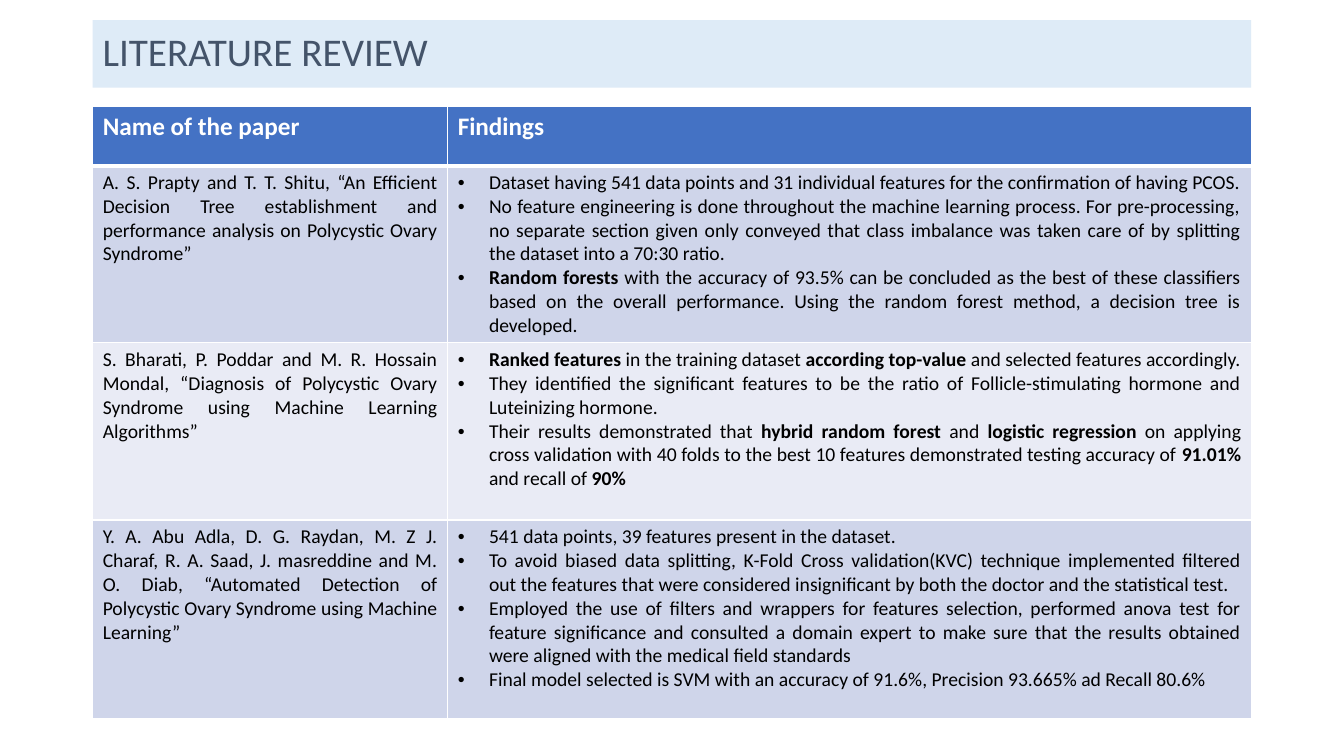
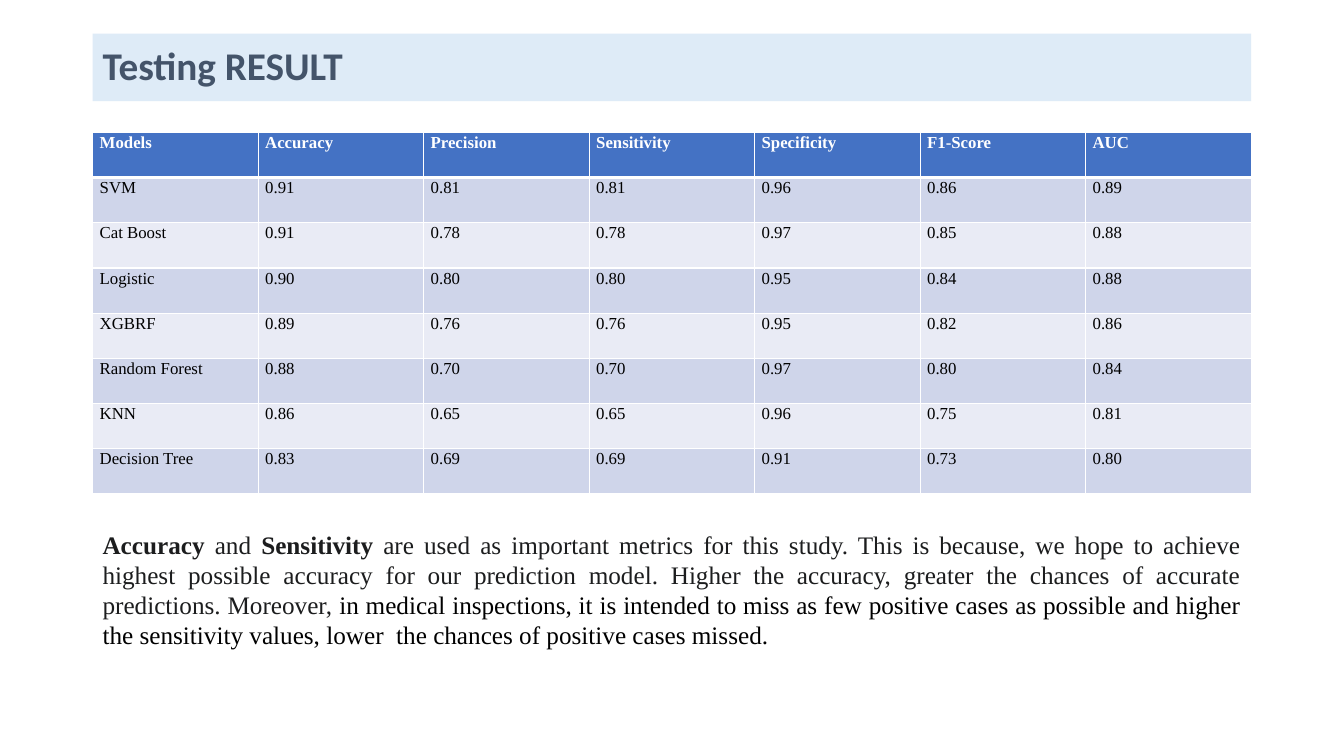
from lxml import etree
from pptx import Presentation
from pptx.dml.color import RGBColor
from pptx.enum.shapes import MSO_SHAPE
from pptx.enum.text import MSO_ANCHOR, PP_ALIGN
from pptx.oxml.ns import qn
from pptx.util import Inches, Pt

RECTANGLE = MSO_SHAPE.RECTANGLE
MIDDLE = MSO_ANCHOR.MIDDLE
LEFT, JUSTIFY = PP_ALIGN.LEFT, PP_ALIGN.JUSTIFY


class Theme:
    band = RGBColor.from_string("DEEBF7")
    title = RGBColor.from_string("44546A")
    header = RGBColor.from_string("4472C4")
    stripes = [RGBColor.from_string("E9EBF5"), RGBColor.from_string("CFD5EA")]
    white = RGBColor.from_string("FFFFFF")
    black = RGBColor.from_string("000000")
    soft_black = RGBColor.from_string("1C1D1E")
    sans, serif = "Calibri", "Times New Roman"
    title_size, large, body, small = Pt(28), Pt(18), Pt(14), Pt(12)
    thin, thick = Pt(1), Pt(3)
    bullet_indent = Inches(0.31)


deck = Presentation()
deck.slide_width, deck.slide_height = Inches(13.33), Inches(7.5)
COLUMN = deck.slide_width / 29
ROW = deck.slide_height / 112
MARGIN, CONTENT = int(2 * COLUMN), int(25 * COLUMN)


def write(para, text, font, size, color, bold=False, **layout):
    for name, value in layout.items():
        setattr(para, name, value)
    for index, part in enumerate(text.split("**")):
        if part:
            span = para.add_run()
            span.text = part
            look = {"name": font, "size": size, "bold": bold or index % 2 == 1}
            for name, value in look.items():
                setattr(span.font, name, value)
            span.font.color.rgb = color


def add_grid(page, top, widths, heights, rows, font, sizes, insets, layout):
    frame = page.shapes.add_table(
        len(rows), len(widths), MARGIN, int(top * ROW), CONTENT, int(sum(heights) * ROW)
    )
    table = frame.table
    for column, width in zip(table.columns, widths):
        column.width = int(width * COLUMN)
    for line, height in zip(table.rows, heights):
        line.height = int(height * ROW)
    for r, row in enumerate(rows):
        for c, content in enumerate(row):
            cell = table.cell(r, c)
            for name, value in insets.items():
                setattr(cell, name, value)
            properties = cell._tc.get_or_add_tcPr()
            heavy = {0: "lnB", 1: "lnT"}.get(r)
            for side in ("lnL", "lnR", "lnT", "lnB"):
                weight = Theme.thick if side == heavy else Theme.thin
                edge = etree.SubElement(properties, qn(f"a:{side}"), w=str(weight))
                fill = etree.SubElement(edge, qn("a:solidFill"))
                etree.SubElement(fill, qn("a:srgbClr"), val=str(Theme.white))
            cell.fill.solid()
            cell.fill.fore_color.rgb = Theme.stripes[r % 2] if r else Theme.header
            bulleted = isinstance(content, list)
            for p, text in enumerate(content if bulleted else [content]):
                para = cell.text_frame.add_paragraph() if p else cell.text_frame.paragraphs[0]
                color = Theme.black if r else Theme.white
                write(para, text, font, sizes[r > 0], color, r == 0, **layout)
                if bulleted:
                    settings = para._p.get_or_add_pPr()
                    settings.set("marL", str(Theme.bullet_indent))
                    settings.set("indent", str(-Theme.bullet_indent))
                    etree.SubElement(settings, qn("a:buFont"), typeface="Arial")
                    etree.SubElement(settings, qn("a:buChar"), char="•")


pages = []
for title, top, bold in [("LITERATURE REVIEW", 3, False), ("Testing RESULT", 5, True)]:
    page = deck.slides.add_slide(deck.slide_layouts[6])
    band = page.shapes.add_shape(RECTANGLE, MARGIN, int(top * ROW), CONTENT, int(10 * ROW))
    band.shadow.inherit = False
    band.fill.solid()
    band.fill.fore_color.rgb = Theme.band
    band.line.fill.background()
    band.text_frame.vertical_anchor = MIDDLE
    write(band.text_frame.paragraphs[0], title, Theme.sans, Theme.title_size, Theme.title,
          bold, alignment=LEFT, line_spacing=0.9)
    pages.append(page)
review_page, result_page = pages

papers = [
    ("Name of the paper", "Findings"),
    (
        "A. S. Prapty and T. T. Shitu, “An Efficient Decision Tree establishment and "
        "performance analysis on Polycystic Ovary Syndrome”",
        [
            "Dataset having 541 data points and 31 individual features for the confirmation "
            "of having PCOS.",
            "No feature engineering is done throughout the machine learning process. For "
            "pre-processing, no separate section given only conveyed that class imbalance was "
            "taken care of by splitting the dataset into a 70:30 ratio.",
            "**Random forests** with the accuracy of 93.5% can be concluded as the best of "
            "these classifiers based on the overall performance. Using the random forest "
            "method, a decision tree is developed. ",
        ],
    ),
    (
        "S. Bharati, P. Poddar and M. R. Hossain Mondal, “Diagnosis of Polycystic Ovary "
        "Syndrome using Machine Learning Algorithms”",
        [
            "**Ranked features** in the training dataset **according top-value** and selected "
            "features accordingly.",
            "They identified the significant features to be the ratio of Follicle-stimulating "
            "hormone and Luteinizing hormone.",
            "Their results demonstrated that **hybrid random forest** and **logistic "
            "regression** on applying cross validation with 40 folds to the best 10 features "
            "demonstrated testing accuracy of **91.01%** and recall of **90% **",
        ],
    ),
    (
        "Y. A. Abu Adla, D. G. Raydan, M. Z J. Charaf, R. A. Saad, J. masreddine and "
        "M. O. Diab, “Automated Detection of Polycystic Ovary Syndrome using Machine Learning”",
        [
            "541 data points, 39 features present in the dataset.",
            "To avoid biased data splitting, K-Fold Cross validation(KVC) technique "
            "implemented filtered out the features that were considered insignificant by both "
            "the doctor and the statistical test.",
            "Employed the use of filters and wrappers for features selection, performed anova "
            "test for feature significance and consulted a domain expert to make sure that the "
            "results obtained were aligned with the medical field standards",
            "Final model selected is SVM with an accuracy of 91.6%, Precision 93.665% ad "
            "Recall 80.6%",
        ],
    ),
]
add_grid(review_page, 15.8, [7.66, 17.34], [8.75, 26.25, 26.25, 29.4], papers,
         Theme.sans, (Theme.large, Theme.body), {}, {"alignment": JUSTIFY})

scores = [
    ("Models", "Accuracy", "Precision", "Sensitivity", "Specificity", "F1-Score", "AUC"),
    ("SVM", "0.91", "0.81", "0.81", "0.96", "0.86", "0.89"),
    ("Cat Boost", "0.91", "0.78", "0.78", "0.97", "0.85", "0.88"),
    ("Logistic", "0.90", "0.80", "0.80", "0.95", "0.84", "0.88"),
    ("XGBRF", "0.89", "0.76", "0.76", "0.95", "0.82", "0.86"),
    ("Random Forest", "0.88", "0.70", "0.70", "0.97", "0.80", "0.84"),
    ("KNN", "0.86", "0.65", "0.65", "0.96", "0.75", "0.81"),
    ("Decision Tree", "0.83", "0.69", "0.69", "0.91", "0.73", "0.80"),
]
side_inset = Inches(0.07)
add_grid(result_page, 19.6, [25 / 7] * 7, [6.7] * 8, scores,
         Theme.serif, (Theme.small, Theme.small),
         {"margin_left": side_inset, "margin_right": side_inset,
          "margin_top": 0, "margin_bottom": 0},
         {"line_spacing": 1.07, "space_after": Pt(8)})

box = result_page.shapes.add_textbox(MARGIN, int(77.65 * ROW), CONTENT, int(19.6 * ROW))
box.text_frame.word_wrap = True
para = box.text_frame.paragraphs[0]
write(para,
      "**Accuracy** and **Sensitivity** are used as important metrics for this study. This is "
      "because, we hope to achieve highest possible accuracy for our prediction model. Higher "
      "the accuracy, greater the chances of accurate predictions. Moreover,",
      Theme.serif, Theme.large, Theme.soft_black, alignment=JUSTIFY)
write(para,
      " in medical inspections, it is intended to miss as few positive cases as possible and "
      "higher the sensitivity values, lower  the chances of positive cases missed.",
      Theme.serif, Theme.large, Theme.black)

deck.save("out.pptx")
